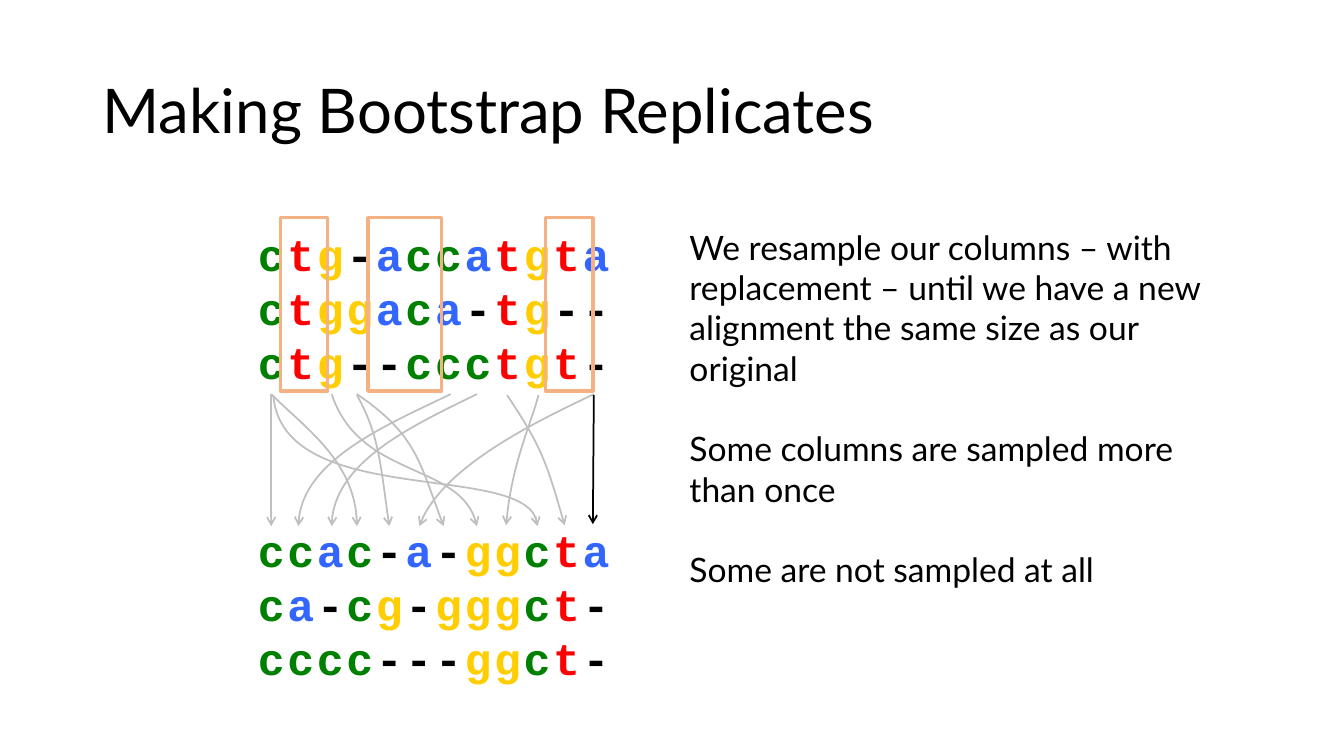
"""Build a slide on how bootstrap replicates are drawn from an alignment."""
from lxml import etree
from pptx import Presentation, util as u
from pptx.dml import color
from pptx.enum import shapes, text
from pptx.oxml import ns

HUES = {"c": "008000", "t": "FF0000", "g": "FFCD00", "a": "3366FF",
        "-": "000000", "ink": "000000", "grey": "BFBFBF", "frame": "F4B183"}
BASE = {"name": "Courier New", "size": u.Pt(32), "bold": True}
BODY = {"name": "Lato", "size": u.Pt(24)}
HEAD = {"name": "Lato", "size": u.Pt(44)}

SOURCE = ["ctg-accatgta", "ctggaca-tg--", "ctg--ccctgt-"]
SAMPLE = ["ccac-a-ggcta", "ca-cg-gggct-", "cccc---ggct-"]
NOTES = [
    "We resample our columns – with replacement – until we have a new "
    "alignment the same size as our original",
    "Some columns are sampled more than once",
    "Some are not sampled at all",
]
CURVES = [
    [(4.47, 3.91), (3.85, 4.21), (2.96, 4.58), (2.96, 5.22)],
    [(4.73, 3.91), (4.12, 4.21), (3.29, 4.59), (3.29, 5.22)],
    [(2.69, 3.91), (3.02, 4.24), (3.54, 4.59), (3.54, 5.22)],
    [(3.54, 3.92), (3.75, 4.3), (3.77, 4.58), (3.86, 5.22)],
    [(5.89, 3.91), (5.46, 4.12), (4.37, 4.61), (4.16, 5.22)],
    [(3.54, 3.91), (4.11, 4.3), (4.16, 4.58), (4.4, 5.22)],
    [(3.29, 3.91), (3.56, 4.73), (4.6, 4.58), (4.73, 5.22)],
    [(5.34, 3.92), (5.27, 4.2), (5.07, 4.6), (5.02, 5.21)],
    [(2.71, 3.92), (2.8, 5.04), (5.31, 4.55), (5.33, 5.22)],
    [(5.03, 3.92), (5.35, 4.4), (5.42, 4.57), (5.6, 5.21)],
]
LINES = [([(2.69, 3.91), (2.69, 5.22)], "grey"),
         ([(5.89, 3.92), (5.88, 5.2)], "ink")]
FRAMES = [(5.41, 0.47), (3.65, 0.73), (2.78, 0.47)]


def rgb(hue):
    return color.RGBColor.from_string(HUES[hue])


def add_text(slide, box, paras, style, gap=0, **frame):
    """Add a text box from (hue, words) pairs."""
    body = slide.shapes.add_textbox(*map(u.Inches, box)).text_frame
    for key, value in {"word_wrap": True, **frame}.items():
        setattr(body, key, value)
    for i, (hue, words) in enumerate(paras):
        para = body.add_paragraph() if i else body.paragraphs[0]
        para.space_before = u.Pt(gap if i else 0)
        run = para.add_run()
        run.text = words
        for key, value in style.items():
            setattr(run.font, key, value)
        run.font.color.rgb = rgb(hue)
    return body


def add_bases(slide, rows, top):
    """Add one text box for each column of an alignment."""
    step = 3.22 / (len(rows[0]) - 1)
    for i, bases in enumerate(zip(*rows)):
        add_text(slide, (2.46 + i * step, top, 0.47, 1.72),
                 [(base, base) for base in bases], BASE)


def set_line(shape, hue, width):
    """Give a shape an outline with no fill or shadow."""
    shape.shadow.inherit = False
    shape.fill.background()
    shape.line.color.rgb = rgb(hue)
    shape.line.width = u.Pt(width)


def add_head(line):
    """Put an arrowhead at the far end of a line."""
    stroke = line.element.spPr.find(ns.qn("a:ln"))
    etree.SubElement(stroke, ns.qn("a:tailEnd"), type="arrow")


def add_curve(slide, points):
    """Add a cubic arrow from its start, two controls and end."""
    spots = [(u.Inches(x), u.Inches(y)) for x, y in points]
    pen = slide.shapes.build_freeform(*spots[0])
    pen.add_line_segments(spots[1:], close=False)
    curve = pen.convert_to_shape()
    trace = next(curve.element.iter(ns.qn("a:path")))
    bend = etree.SubElement(trace, ns.qn("a:cubicBezTo"))
    for leg in trace.findall(ns.qn("a:lnTo")):
        bend.append(leg[0])
        trace.remove(leg)
    set_line(curve, "grey", 1.25)
    add_head(curve)


def add_line(slide, ends, hue):
    """Add a straight arrow."""
    spots = [u.Inches(n) for end in ends for n in end]
    line = slide.shapes.add_connector(shapes.MSO_CONNECTOR.STRAIGHT, *spots)
    line.line.color.rgb = rgb(hue)
    line.line.width = u.Pt(1.25)
    add_head(line)
    etree.SubElement(line.element.spPr, ns.qn("a:effectLst"))


def add_frame(slide, left, width):
    """Frame a group of source columns."""
    box = map(u.Inches, (left, 2.16, width, 1.72))
    frame = slide.shapes.add_shape(shapes.MSO_SHAPE.RECTANGLE, *box)
    set_line(frame, "frame", 2.5)


def main():
    deck = Presentation()
    deck.slide_width, deck.slide_height = u.Inches(13.33), u.Inches(7.5)
    slide = deck.slides.add_slide(deck.slide_layouts[6])
    title = add_text(slide, (0.92, 0.4, 11.5, 1.45),
                     [("ink", "Making Bootstrap Replicates")], HEAD,
                     vertical_anchor=text.MSO_ANCHOR.MIDDLE)
    title.paragraphs[0].line_spacing = 0.9
    add_bases(slide, SOURCE, 2.2)
    add_bases(slide, SAMPLE, 5.14)
    add_text(slide, (6.74, 2.2, 5.67, 3.74),
             [("ink", note) for note in NOTES], BODY, gap=28.8)
    for points in CURVES:
        add_curve(slide, points)
    for ends, hue in LINES:
        add_line(slide, ends, hue)
    for left, width in FRAMES:
        add_frame(slide, left, width)
    deck.save("out.pptx")


if __name__ == "__main__":
    main()
